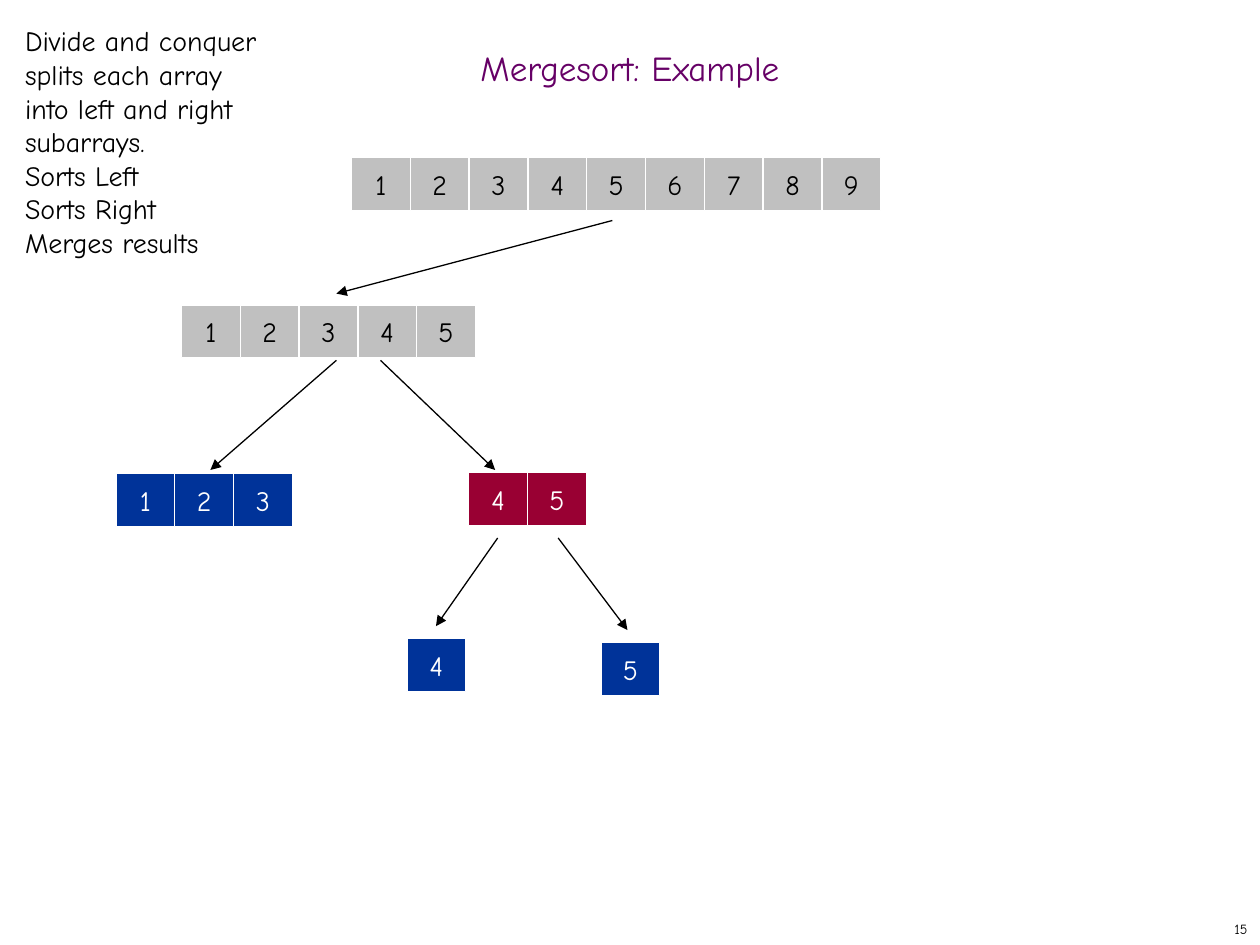
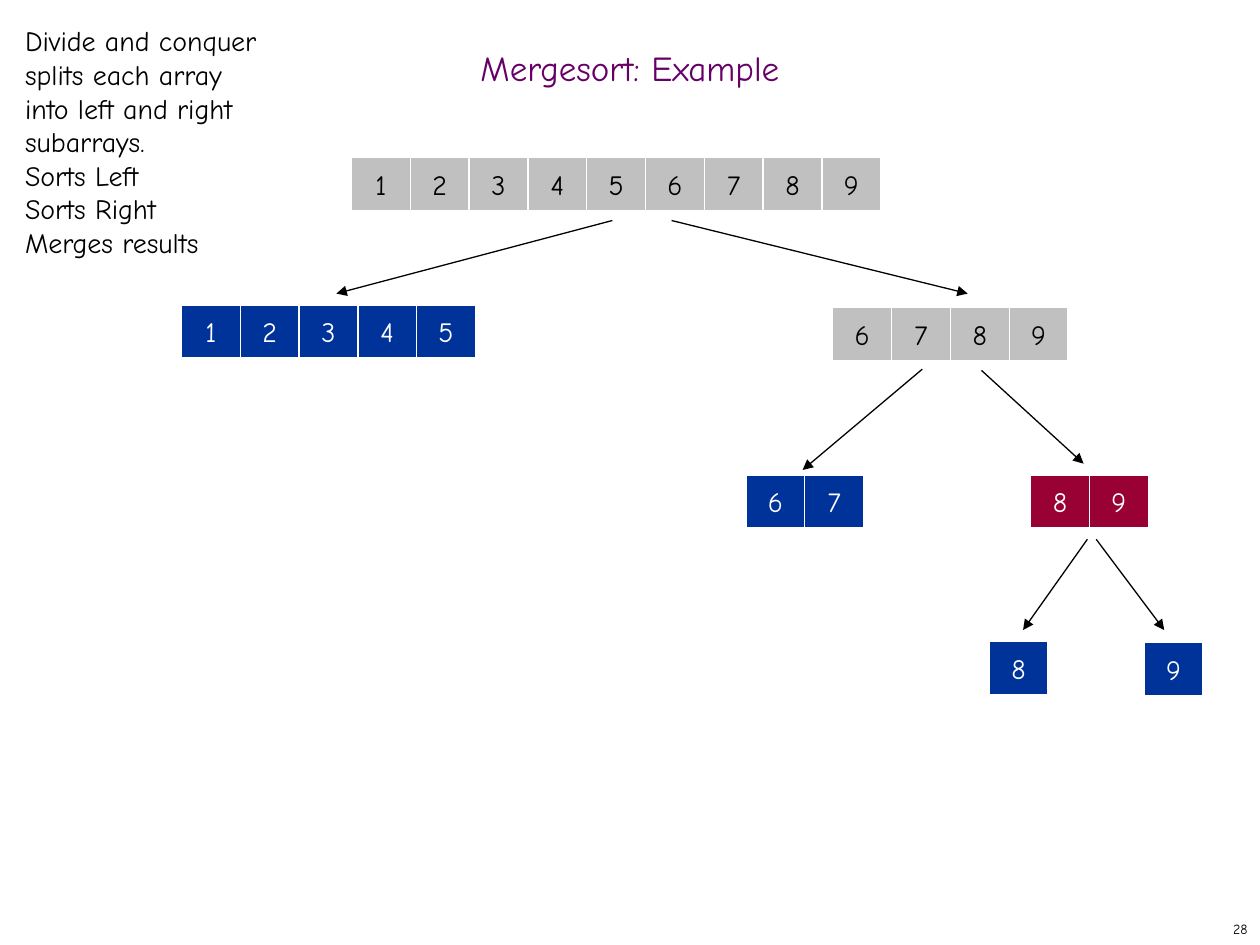
from dataclasses import dataclass

from lxml import etree
from pptx import Presentation
from pptx import util as u
from pptx.dml.color import RGBColor
from pptx.enum import shapes, text
from pptx.oxml.ns import qn

BLACK = RGBColor(0x00, 0x00, 0x00)
WHITE = RGBColor(0xFF, 0xFF, 0xFF)
PURPLE = RGBColor(0x66, 0x00, 0x66)
GREY = RGBColor(0xC0, 0xC0, 0xC0)
BLUE = RGBColor(0x00, 0x33, 0x99)
RED = RGBColor(0x99, 0x00, 0x33)

FONT = "Comic Neue"
TITLE_ONLY = 5
SLIDE_W, SLIDE_H = u.Inches(10), u.Inches(7.5)
GRID = SLIDE_W / 100  # 100 columns by 75 rows of square units
CELL_W, CELL_H = 42 / 9, 4.2  # nine cells span 42 columns
LINE_W = u.Pt(0.75)

# (fill, font colour) of an array by its state
PENDING = (GREY, BLACK)
SORTED = (BLUE, WHITE)
MERGING = (RED, WHITE)

EXPLANATION = (
    "Divide and conquer splits each array into left and right subarrays.",
    "Sorts Left",
    "Sorts Right",
    "Merges results",
)


@dataclass
class Subarray:
    """A run of cells at a grid position, with the arrow that leads to it."""
    values: str
    left: float
    top: float
    state: tuple
    arrow: tuple = ()


def grid(*lengths):
    return [u.Emu(round(length * GRID)) for length in lengths]


def add_span(para, words, size, colour):
    span = para.add_run()
    span.text = words
    span.font.name = FONT
    span.font.size = u.Pt(size)
    span.font.color.rgb = colour


def draw_title(slide, box):
    title = slide.shapes.title
    title.left, title.top, title.width, title.height = grid(*box)
    frame = title.text_frame
    frame.auto_size = text.MSO_AUTO_SIZE.NONE
    frame.vertical_anchor = text.MSO_ANCHOR.MIDDLE
    para = frame.paragraphs[0]
    para.alignment = text.PP_ALIGN.CENTER
    para.line_spacing = 0.7
    add_span(para, "Mergesort: Example", 20, PURPLE)


def draw_page_number(slide, box, number):
    frame = slide.shapes.add_textbox(*grid(*box)).text_frame
    frame.word_wrap = False
    frame.vertical_anchor = text.MSO_ANCHOR.MIDDLE
    para = frame.paragraphs[0]
    para.alignment = text.PP_ALIGN.RIGHT
    add_span(para, str(number), 8, BLACK)


def draw_explanation(slide, box):
    frame = slide.shapes.add_textbox(*grid(*box)).text_frame
    frame.word_wrap = True
    frame.auto_size = text.MSO_AUTO_SIZE.SHAPE_TO_FIT_TEXT
    for index, sentence in enumerate(EXPLANATION):
        para = frame.add_paragraph() if index else frame.paragraphs[0]
        add_span(para, sentence, 16, BLACK)


def draw_cell(slide, box, value, state):
    fill, colour = state
    cell = slide.shapes.add_shape(shapes.MSO_SHAPE.RECTANGLE, *grid(*box))
    cell.shadow.inherit = False
    cell.fill.solid()
    cell.fill.fore_color.rgb = fill
    cell.line.color.rgb = WHITE
    cell.line.width = LINE_W
    frame = cell.text_frame
    frame.word_wrap = False
    frame.vertical_anchor = text.MSO_ANCHOR.MIDDLE
    para = frame.paragraphs[0]
    para.alignment = text.PP_ALIGN.CENTER
    add_span(para, value, 16, colour)


def draw_arrow(slide, start, end):
    arrow = slide.shapes.add_connector(
        shapes.MSO_CONNECTOR.STRAIGHT, *grid(*start, *end))
    arrow.line.color.rgb = BLACK
    arrow.line.width = LINE_W
    outline = arrow.line._get_or_add_ln()
    etree.SubElement(outline, qn("a:tailEnd"), type="triangle")
    etree.SubElement(arrow._element.spPr, qn("a:effectLst"))


def draw_subarray(slide, subarray):
    for column, value in enumerate(subarray.values):
        box = (subarray.left + column * CELL_W, subarray.top, CELL_W, CELL_H)
        draw_cell(slide, box, value, subarray.state)
    if subarray.arrow:
        draw_arrow(slide, *subarray.arrow)


def left_half(state):
    return Subarray("12345", 14.4, 24.2, state, ((48.6, 17.5), (26.7, 23.3)))


def add_example(deck, number, subarrays):
    slide = deck.slides.add_slide(deck.slide_layouts[TITLE_ONLY])
    draw_page_number(slide, (79.2, 72.5, 20.8, 2.5), number)
    draw_title(slide, (0, 3.3, 100, 5))
    draw_explanation(slide, (1, 1.4, 21.5, 19.9))
    for subarray in subarrays:
        draw_subarray(slide, subarray)


def main():
    deck = Presentation()
    deck.slide_width, deck.slide_height = SLIDE_W, SLIDE_H
    whole = Subarray("123456789", 27.9, 12.5, PENDING)

    add_example(deck, 15, [
        whole,
        left_half(PENDING),
        Subarray("123", 9.2, 37.6, SORTED, ((26.7, 28.6), (16.7, 37.3))),
        Subarray("45", 37.2, 37.5, MERGING, ((30.2, 28.6), (39.3, 37.3))),
        Subarray("4", 32.3, 50.7, SORTED, ((39.5, 42.7), (34.6, 49.7))),
        Subarray("5", 47.7, 51, SORTED, ((44.3, 42.7), (49.8, 50))),
    ])
    add_example(deck, 28, [
        whole,
        left_half(SORTED),
        Subarray("6789", 66.1, 24.4, PENDING, ((53.3, 17.5), (76.8, 23.3))),
        Subarray("67", 59.2, 37.7, SORTED, ((73.2, 29.3), (63.7, 37.3))),
        Subarray("89", 81.8, 37.7, MERGING, ((77.9, 29.4), (86, 36.8))),
        Subarray("8", 78.5, 50.9, SORTED, ((86.3, 42.8), (81.2, 50))),
        Subarray("9", 90.8, 51, SORTED, ((87, 42.8), (92.4, 50))),
    ])
    deck.save("out.pptx")


if __name__ == "__main__":
    main()
